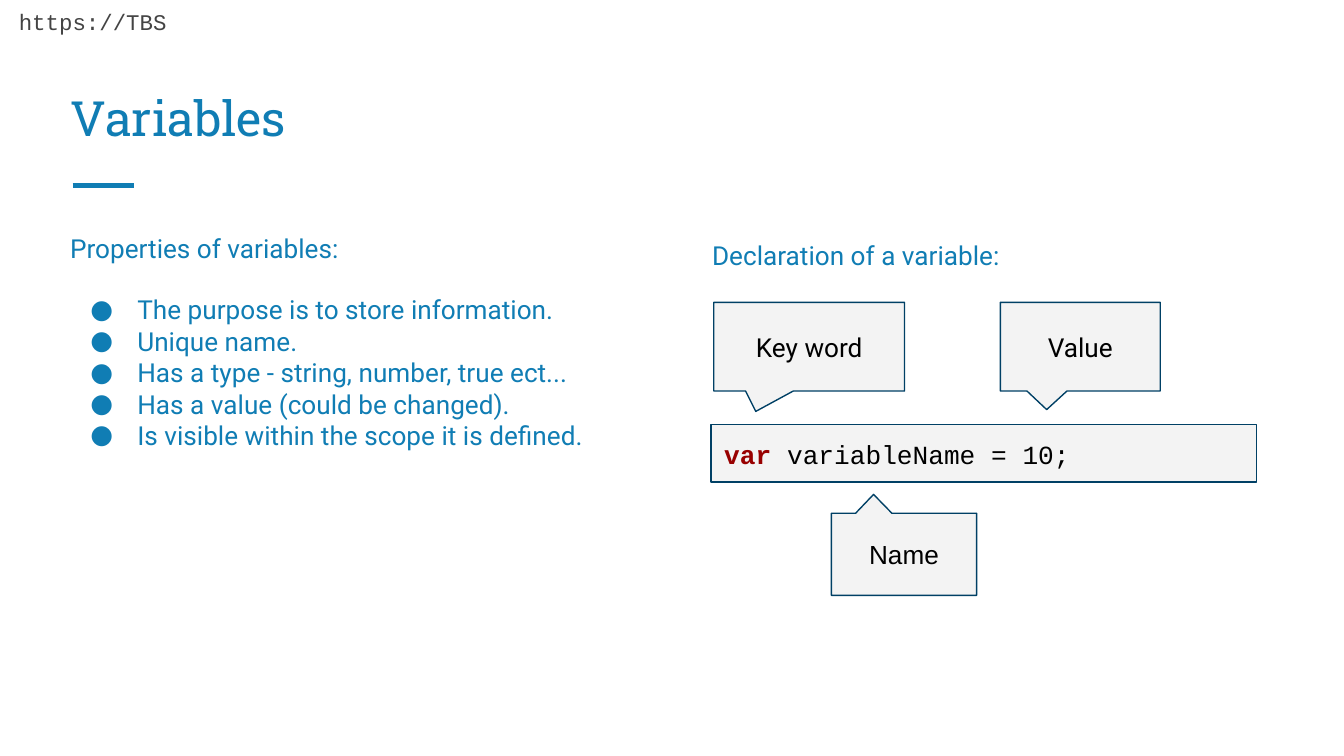
from dataclasses import dataclass
from typing import NamedTuple

from lxml.etree import SubElement
from pptx import Presentation
from pptx.dml.color import RGBColor
from pptx.enum.shapes import MSO_CONNECTOR, MSO_SHAPE
from pptx.enum.text import MSO_ANCHOR as Anchor, MSO_AUTO_SIZE, PP_ALIGN as Align
from pptx.oxml.ns import qn
from pptx.util import Pt


@dataclass(frozen=True)
class Theme:
    blue: str = "107DB4"
    navy: str = "004065"
    grey: str = "444444"
    panel: str = "F3F3F3"
    keyword: str = "980000"
    black: str = "000000"
    white: str = "FFFFFF"
    title_size: float = 26
    text_size: float = 14
    header_size: float = 12
    title_font: str = "Roboto Slab"
    text_font: str = "Roboto"
    label_font: str = "Arial"
    code_font: str = "Courier New"
    inset: float = 7.2


class Box(NamedTuple):
    left: float
    top: float
    width: float
    height: float


class Callout(NamedTuple):
    label: str
    box: Box
    tip_x: float  # tip offset from the centre, as a share of the width
    tip_y: float  # the same, as a share of the height
    font: str


THEME = Theme()
CALLOUT_TOP, CALLOUT_HEIGHT = 162, 47.5
CALLOUTS = [
    Callout("Key word", Box(382.4, CALLOUT_TOP, 102.2, CALLOUT_HEIGHT),
            -0.28, 0.73, THEME.text_font),
    Callout("Value", Box(535.9, CALLOUT_TOP, 85.7, CALLOUT_HEIGHT),
            -0.21, 0.71, THEME.text_font),
    Callout("Name", Box(445.4, 275, 77.8, 44), -0.21, -0.73, THEME.label_font),
]
PROPERTIES = [
    "The purpose is to store information.",
    "Unique name.",
    "Has a type - string, number, true ect...",
    "Has a value (could be changed).",
    "Is visible within the scope it is defined.",
]


def points(box: Box) -> list[Pt]:
    return [Pt(length) for length in box]


def prepare_frame(holder, anchor=Anchor.TOP):
    frame = holder.text_frame
    frame.word_wrap = True
    frame.auto_size = MSO_AUTO_SIZE.NONE
    frame.vertical_anchor = anchor
    frame.margin_left = frame.margin_right = Pt(THEME.inset)
    frame.margin_top = frame.margin_bottom = Pt(THEME.inset)
    return frame


def write(paragraph, text: str, *, size: float = THEME.text_size,
          font: str = THEME.text_font, color: str = THEME.blue,
          bold: bool = False, align=Align.LEFT) -> None:
    """Add one formatted run to a paragraph."""
    paragraph.alignment = align
    run = paragraph.add_run()
    run.text = text
    run.font.size, run.font.name, run.font.bold = Pt(size), font, bold
    run.font.color.rgb = RGBColor.from_string(color)


def add_bullet(paragraph, indent: float = 36, hang: float = 25.2) -> None:
    properties = paragraph._p.get_or_add_pPr()
    properties.set("marL", str(Pt(indent)))
    properties.set("indent", str(-Pt(hang)))
    bullet_color = SubElement(properties, qn("a:buClr"))
    SubElement(bullet_color, qn("a:srgbClr"), val=THEME.blue)
    SubElement(properties, qn("a:buFont"), typeface=THEME.text_font)
    SubElement(properties, qn("a:buChar"), char="●")


def add_text_area(slide, box: Box):
    return prepare_frame(slide.shapes.add_textbox(*points(box)))


def add_panel(slide, kind, box: Box):
    panel = slide.shapes.add_shape(kind, *points(box))
    panel.shadow.inherit = False
    panel.fill.solid()
    panel.fill.fore_color.rgb = RGBColor.from_string(THEME.panel)
    panel.line.color.rgb = RGBColor.from_string(THEME.navy)
    panel.line.width = Pt(0.75)
    return panel


def add_callout(slide, callout: Callout) -> None:
    bubble = add_panel(slide, MSO_SHAPE.ROUNDED_RECTANGULAR_CALLOUT, callout.box)
    for index, value in enumerate((callout.tip_x, callout.tip_y, 0)):
        bubble.adjustments[index] = value
    frame = prepare_frame(bubble, Anchor.MIDDLE)
    write(frame.paragraphs[0], callout.label, font=callout.font,
          color=THEME.black, align=Align.CENTER)


def add_rule(slide, left: float, right: float, y: float) -> None:
    rule = slide.shapes.add_connector(
        MSO_CONNECTOR.STRAIGHT, Pt(left), Pt(y), Pt(right), Pt(y))
    rule.line.color.rgb = RGBColor.from_string(THEME.blue)
    rule.line.width = Pt(3)
    SubElement(rule._element.spPr, qn("a:effectLst"))


def main() -> None:
    deck = Presentation()
    deck.slide_width, deck.slide_height = Pt(720), Pt(405)
    slide = deck.slides.add_slide(deck.slide_layouts[5])
    slide.background.fill.solid()
    slide.background.fill.fore_color.rgb = RGBColor.from_string(THEME.white)

    # Header address
    header = add_text_area(slide, Box(3, -3, 219, 27))
    write(header.paragraphs[0], "https://TBS", size=THEME.header_size,
          font=THEME.code_font, color=THEME.grey)

    # Title and its short rule
    title = slide.shapes.title
    title.left, title.top, title.width, title.height = points(
        Box(30.5, 31.5, 659, 54))
    write(prepare_frame(title, Anchor.BOTTOM).paragraphs[0], "Variables",
          size=THEME.title_size, font=THEME.title_font)
    add_rule(slide, 38.9, 72, 99.3)

    # Left column: properties
    properties = add_text_area(slide, Box(30.5, 117.4, 314.6, 242.6))
    write(properties.paragraphs[0], "Properties of variables:")
    for index, fact in enumerate(PROPERTIES):
        item = properties.add_paragraph()
        item.space_before = Pt(0 if index else 16)
        add_bullet(item)
        write(item, fact)

    # Right column: declaration
    declaration = add_text_area(slide, Box(374.4, 118.8, 314.6, 242.6))
    declaration.paragraphs[0].line_spacing = 1.15
    write(declaration.paragraphs[0], "Declaration of a variable:")

    # Code line and the callouts naming its parts
    code = add_panel(slide, MSO_SHAPE.RECTANGLE, Box(380.9, 227.4, 292.4, 30.8))
    statement = prepare_frame(code).paragraphs[0]
    write(statement, "var", font=THEME.code_font, color=THEME.keyword, bold=True)
    write(statement, " variableName = 10;", font=THEME.code_font,
          color=THEME.black)
    for callout in CALLOUTS:
        add_callout(slide, callout)

    deck.save("out.pptx")


if __name__ == "__main__":
    main()
